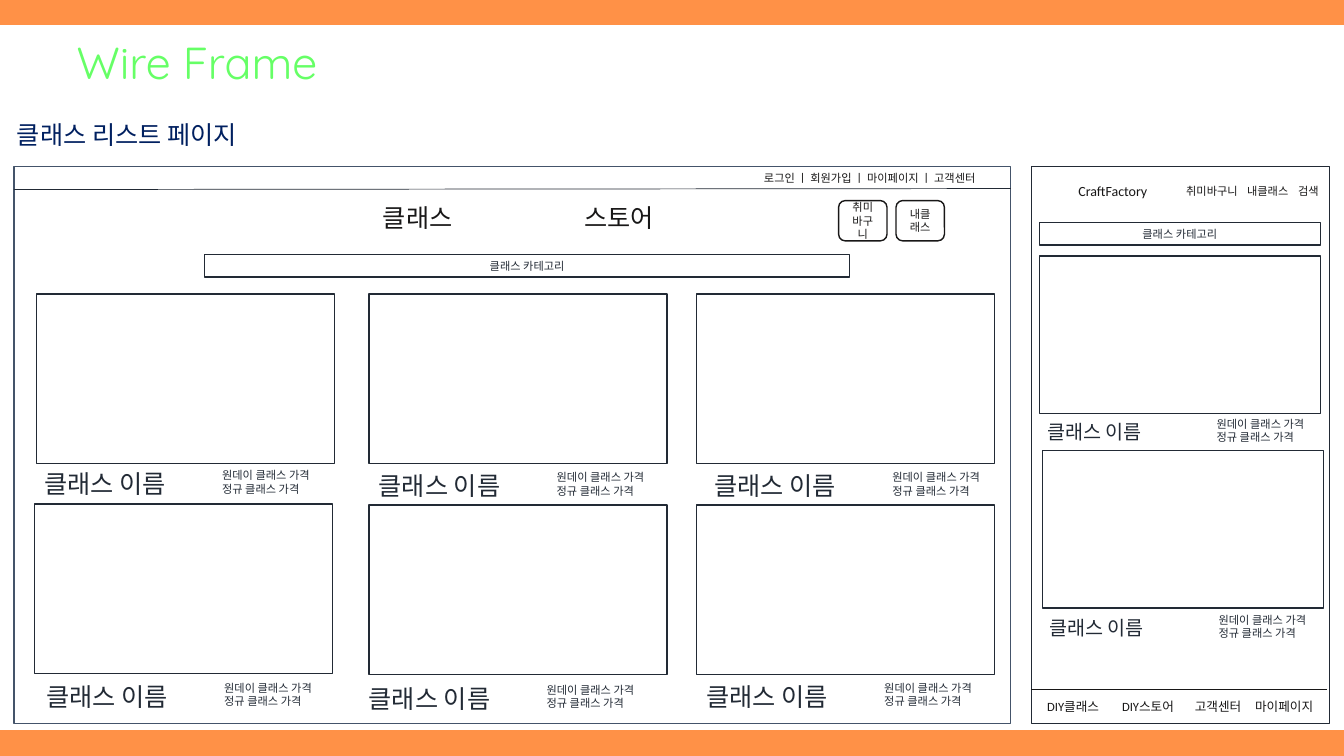
from pptx import Presentation
from pptx.dml.color import RGBColor
from pptx.enum import shapes, text
from pptx.oxml.ns import qn
from pptx.util import Pt
from lxml import etree

COLORS = {
    "orange": "FF9147",
    "white": "FFFFFF",
    "green": "66FF66",
    "navy": "002060",
    "slate": "44546A",
    "ink": "222A35",
    "black": "181717",
}
RECTANGLE = shapes.MSO_SHAPE.RECTANGLE
CATEGORY = "클래스 카테고리"
CLASS_NAME = "클래스 이름"
PRICES = "원데이 클래스 가격\n정규 클래스 가격"

# Each card: left and top of its frame, then left and top of its class name
WEB_CARDS = [
    (26, 210, 24.5, 331.2), (263.5, 210, 263.5, 332.6), (497.5, 210, 503.3, 332.6),
    (24.5, 360, 26, 483.1), (263.5, 360.7, 256.3, 484.6), (497.5, 360.7, 497.5, 483.1),
]
MOBILE_CARDS = [(742.3, 182.9, 740.9, 296.6), (744.5, 321.8, 742.3, 436.3)]


def rgb(name):
    return RGBColor.from_string(COLORS[name])


def write(shape, content, size=8, color="ink", font="Calibri", align="LEFT",
          anchor="TOP", tabs=()):
    """Fill a shape with one paragraph per line; tabs are stops in points."""
    frame = shape.text_frame
    frame.word_wrap = True
    frame.vertical_anchor = text.MSO_ANCHOR[anchor]
    frame.text = content
    for paragraph in frame.paragraphs:
        paragraph.alignment = text.PP_ALIGN[align]
        if tabs:
            tab_list = etree.SubElement(paragraph._p.get_or_add_pPr(), qn("a:tabLst"))
            for stop in tabs:
                etree.SubElement(tab_list, qn("a:tab"), pos=str(Pt(stop)), algn="l")
        for run in paragraph.runs:
            run.font.size = Pt(size)
            run.font.name = font
            run.font.color.rgb = rgb(color)


def add_text(slide, content, left, top, width, height, **style):
    box = slide.shapes.add_textbox(Pt(left), Pt(top), Pt(width), Pt(height))
    write(box, content, **style)
    box.text_frame.auto_size = text.MSO_AUTO_SIZE.SHAPE_TO_FIT_TEXT


def add_box(slide, left, top, width, height, line="ink", fill="white", kind=RECTANGLE):
    box = slide.shapes.add_shape(kind, Pt(left), Pt(top), Pt(width), Pt(height))
    box.shadow.inherit = False
    if fill:
        box.fill.solid()
        box.fill.fore_color.rgb = rgb(fill)
    else:
        box.fill.background()
    box.line.color.rgb = rgb(line)
    box.line.width = Pt(1)
    return box


def add_rule(slide, x1, y1, x2, y2, color):
    rule = slide.shapes.add_connector(
        shapes.MSO_CONNECTOR.STRAIGHT, Pt(x1), Pt(y1), Pt(x2), Pt(y2))
    rule.line.color.rgb = rgb(color)
    rule.line.width = Pt(0.5)
    etree.SubElement(rule._element.spPr, qn("a:effectLst"))


def add_category_bar(slide, left, top, width):
    bar = add_box(slide, left, top, width, 16)
    write(bar, CATEGORY, align="CENTER", anchor="MIDDLE")


def add_card(slide, card, size, name_size, price_shift):
    """Add a class frame with its name and, shifted from the name, its prices."""
    left, top, name_left, name_top = card
    add_box(slide, left, top, *size)
    add_text(slide, CLASS_NAME, name_left, name_top, 113, name_size * 1.6, size=name_size)
    add_text(slide, PRICES, name_left + price_shift[0], name_top + price_shift[1], 85, 26.6)


def add_title(slide):
    panel = add_box(slide, 0, 18.7, 960, 502, line="white")
    title = slide.shapes.title
    title._element.addprevious(panel._element)
    title.left, title.top, title.width, title.height = Pt(47.5), Pt(20.9), Pt(199.5), Pt(46)
    write(title, "Wire Frame", size=32, color="green", font="Quicksand")
    title.text_frame.auto_size = text.MSO_AUTO_SIZE.SHAPE_TO_FIT_TEXT
    add_text(slide, "클래스 리스트 페이지", 5, 81.4, 699, 29, size=18, color="navy")


def add_web_page(slide):
    add_box(slide, 10, 118.8, 712, 398.2, line="slate")
    add_rule(slide, 10, 135.4, 722, 134.7, "ink")
    add_text(slide, "로그인 ㅣ 회원가입 ㅣ 마이페이지 ㅣ 고객센터",
             538.6, 118.8, 183.6, 17, color="black")
    add_text(slide, "\t클래스\t스토어", 194.4, 141.1, 368, 29,
             size=18, color="black", tabs=(72, 216))
    for left, label in ((599, "취미바구니"), (640, "내클래스")):
        button = add_box(slide, left, 143.3, 34.6, 28.8, line="black", fill=None,
                         kind=shapes.MSO_SHAPE.ROUNDED_RECTANGLE)
        write(button, label, color="black", align="CENTER", anchor="MIDDLE")
    add_category_bar(slide, 146.2, 182, 460.8)
    for card in WEB_CARDS:
        add_card(slide, card, (213, 121), 18, (127, 0))


def add_mobile_page(slide):
    add_box(slide, 736.6, 118.8, 213, 398.2)
    add_text(slide, "CraftFactory", 763.2, 126.7, 77.8, 19.4, size=10, color="black")
    add_text(slide, "취미바구니\t내클래스\t검색", 840.2, 128.2, 115.2, 17,
             color="black", tabs=(43.5, 80))
    add_category_bar(slide, 742.3, 159.1, 201)
    for card in MOBILE_CARDS:
        add_card(slide, card, (201, 112.5), 14, (121, -2))
    add_rule(slide, 736.6, 492.5, 948.2, 492.5, "black")
    add_text(slide, "DIY클래스\tDIY스토어\t고객센터\t마이페이지", 740.9, 495.4, 231.8, 18,
             size=9, color="black", tabs=(53.5, 105.5, 148.5))


def main():
    presentation = Presentation()
    presentation.slide_width, presentation.slide_height = Pt(960), Pt(540)
    slide = presentation.slides.add_slide(presentation.slide_layouts[5])
    slide.background.fill.solid()
    slide.background.fill.fore_color.rgb = rgb("orange")
    add_title(slide)
    add_web_page(slide)
    add_mobile_page(slide)
    presentation.save("out.pptx")


if __name__ == "__main__":
    main()
